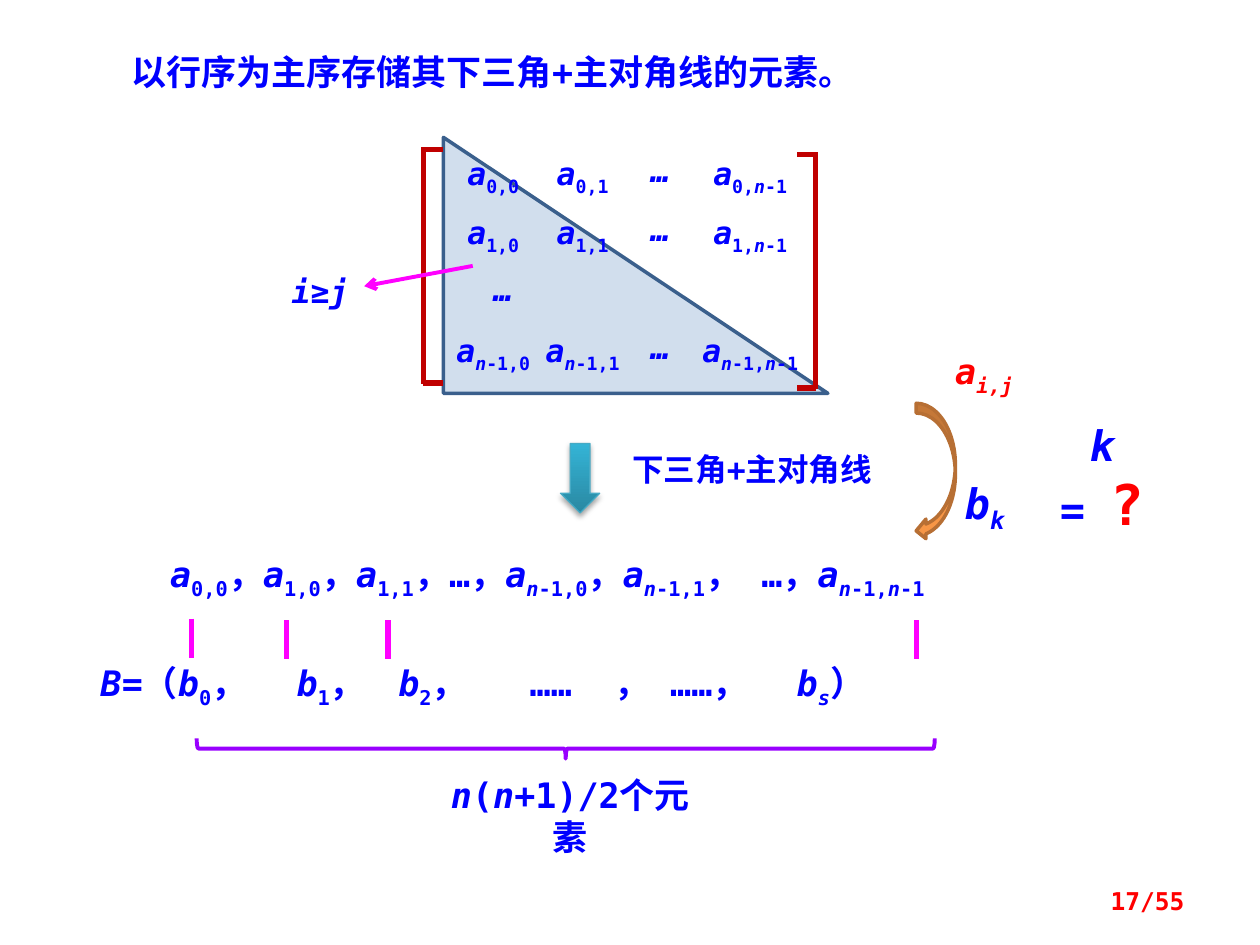
from dataclasses import dataclass

from lxml import etree
from pptx import Presentation
from pptx.dml.color import RGBColor
from pptx.enum.shapes import MSO_CONNECTOR, MSO_SHAPE
from pptx.enum.text import MSO_ANCHOR, MSO_AUTO_SIZE, PP_ALIGN
from pptx.oxml.ns import qn
from pptx.util import Cm, Pt

LEFT, CENTER, RIGHT = PP_ALIGN.LEFT, PP_ALIGN.CENTER, PP_ALIGN.RIGHT
TOP, MIDDLE = MSO_ANCHOR.TOP, MSO_ANCHOR.MIDDLE
GROW = MSO_AUTO_SIZE.SHAPE_TO_FIT_TEXT
STRAIGHT = MSO_CONNECTOR.STRAIGHT
TRIANGLE = MSO_SHAPE.RIGHT_TRIANGLE
DOWN_ARROW = MSO_SHAPE.DOWN_ARROW
CURVED_ARROW = MSO_SHAPE.CURVED_LEFT_ARROW
BRACE = MSO_SHAPE.LEFT_BRACE


@dataclass(frozen=True)
class Theme:
    font: str = "DejaVu Sans Mono"
    text: str = "0000FF"
    accent: str = "FF0000"
    link: str = "FF00FF"
    bracket: str = "C00000"
    brace: str = "9900FF"
    triangle: str = "4F81BD"
    triangle_edge: str = "3A5F8C"
    arrow_dark: str = "2A88A2"
    arrow_light: str = "34B4D6"
    arrow_edge: str = "46AAC5"
    curve: str = "F79646"
    curve_edge: str = "B76F34"
    shadow: str = "000000"
    page_number: int = 14
    label: int = 18
    body: int = 20
    large: int = 24
    huge: int = 32


class SlideBuilder:
    def __init__(self, slide, theme):
        self.slide = slide
        self.theme = theme

    def set_markup(self, box, markup, size, color=None, align=LEFT, anchor=TOP, margin=None):
        frame = box.text_frame
        frame.word_wrap = True
        frame.auto_size = GROW
        frame.vertical_anchor = anchor
        if margin is not None:
            frame.margin_left = frame.margin_right = Cm(margin)
            frame.margin_top = frame.margin_bottom = Cm(margin)
        para = frame.paragraphs[0]
        para.alignment = align
        for level, part in enumerate(markup.split("_")):
            for turn, piece in enumerate(part.split("*")):
                if piece:
                    self.span(para, piece, size, color, turn % 2 == 1, level % 2 == 1)
        return para

    def span(self, para, text, size, color=None, italic=False, subscript=False):
        span = para.add_run()
        span.text = text
        font = span.font
        font.name = self.theme.font
        font.size = Pt(size)
        font.bold = True
        font.italic = italic
        font.color.rgb = RGBColor.from_string(color or self.theme.text)
        properties = span._r.get_or_add_rPr()
        etree.SubElement(properties, qn("a:ea"), typeface=self.theme.font)
        if subscript:
            properties.set("baseline", "-25000")

    def title(self, place, markup, size):
        box = self.slide.shapes.title
        box.left, box.top, box.width, box.height = map(Cm, place)
        self.set_markup(box, markup, size)

    def text(self, place, markup, size, **style):
        box = self.slide.shapes.add_textbox(*map(Cm, place))
        return self.set_markup(box, markup, size, **style)

    def tab_stops(self, para, positions):
        stops = etree.SubElement(para._p.get_or_add_pPr(), qn("a:tabLst"))
        for position in positions:
            etree.SubElement(stops, qn("a:tab"), pos=str(int(Cm(position))), algn="l")

    def shape(self, kind, place, edge, weight, fill=None):
        shape = self.slide.shapes.add_shape(kind, *map(Cm, place))
        shape.shadow.inherit = False
        shape.line.color.rgb = RGBColor.from_string(edge)
        shape.line.width = Pt(weight)
        if fill:
            shape.fill.solid()
            shape.fill.fore_color.rgb = RGBColor.from_string(fill)
        else:
            shape.fill.background()
        return shape

    def transparency(self, shape, opacity):
        color = shape._element.spPr.find(qn("a:solidFill"))[0]
        etree.SubElement(color, qn("a:alpha"), val=str(opacity * 1000))

    def gradient(self, shape, colors, angle):
        shape.fill.gradient()
        shape.fill.gradient_angle = angle
        for stop, color in zip(shape.fill.gradient_stops, colors):
            stop.color.rgb = RGBColor.from_string(color)

    def drop_shadow(self, shape, color, opacity):
        effects = shape._element.spPr.find(qn("a:effectLst"))
        shadow = etree.SubElement(
            effects, qn("a:outerShdw"), blurRad=str(int(Pt(3.1))), dist=str(int(Pt(1.8))),
            dir="5400000", rotWithShape="0",
        )
        tone = etree.SubElement(shadow, qn("a:srgbClr"), val=color)
        etree.SubElement(tone, qn("a:alpha"), val=str(opacity * 1000))

    def line(self, start, end, color, weight, arrow=False):
        line = self.slide.shapes.add_connector(STRAIGHT, *map(Cm, start + end))
        line.line.color.rgb = RGBColor.from_string(color)
        line.line.width = Pt(weight)
        if arrow:
            outline = line._element.spPr.find(qn("a:ln"))
            etree.SubElement(outline, qn("a:tailEnd"), type="arrow")
        etree.SubElement(line._element.spPr, qn("a:effectLst"))

    def bracket(self, spine, tip, top, bottom):
        color = self.theme.bracket
        self.line((spine, top), (spine, bottom), color, 3)
        for height in (top + 0.05, bottom - 0.03):
            self.line((spine, height), (tip, height), color, 3)


def draw_matrix(page):
    theme = page.theme
    triangle = page.shape(TRIANGLE, (8.94, 2.77, 7.75, 5.16), theme.triangle_edge, 2, theme.triangle)
    page.transparency(triangle, 26)
    page.bracket(8.53, 8.94, 2.97, 7.75)
    page.bracket(16.44, 16.06, 3.07, 7.85)

    def entry(left, top, width, markup):
        page.text((left, top, width, 0.76), markup, theme.label, align=CENTER, margin=0)

    columns = ((8.94, "0"), (10.74, "1"), (14.12, "*n*-1"))
    for step, row in ((0, "0"), (1, "1"), (3, "*n*-1")):
        top = 3.1 + 1.19 * step
        for left, column in columns:
            entry(left, top, 2.01, f"*a*_{row},{column}_")
        entry(12.52, top - 0.05, 1.6, "*…*")
    entry(9.35, 5.44, 1.6, "*…*")

    page.line((9.53, 5.36), (7.34, 5.77), theme.link, 2.25, arrow=True)
    page.text((5.16, 5.36, 2.59, 1.02), "*i*≥*j*", theme.label, align=CENTER)


def draw_storage(page):
    theme = page.theme
    arrow = page.shape(DOWN_ARROW, (11.3, 8.94, 0.79, 1.4), theme.arrow_edge, 0.75)
    page.gradient(arrow, (theme.arrow_dark, theme.arrow_light), 90)
    page.drop_shadow(arrow, theme.shadow, 35)
    page.text((12.5, 8.94, 6.63, 1.02), "下三角+主对角线", theme.label)

    page.text(
        (3.18, 11.02, 18.06, 1.12),
        "*a*_0,0_，*a*_1,0_，*a*_1,1_，…，*a*_*n*-1,0_，*a*_*n*-1,1_， …，*a*_*n*-1,*n*-1_",
        theme.body,
    )
    for left, top in ((3.86, 12.47), (5.77, 12.5), (7.82, 12.5), (18.47, 12.5)):
        page.line((left, top), (left, top + 0.79), theme.link, 3)
    para = page.text(
        (1.78, 13.21, 19.84, 1.12),
        "*B*=（*b*_0_，\t*b*_1_，\t*b*_2_，\t……\t， ……，\t*b*_*s*_）",
        theme.body,
    )
    page.tab_stops(para, (3.95, 6, 8.65, 10.35, 14.03))

    brace = page.shape(BRACE, (11.2, 7.65, 0.41, 14.88), theme.brace, 2.25)
    brace.rotation = 270
    page.text((8.53, 15.47, 5.94, 1.12), "*n*(*n*+1)/2个元素", theme.body, align=CENTER)


def draw_question(page):
    theme = page.theme
    page.shape(CURVED_ARROW, (18.47, 8.13, 0.79, 2.77), theme.curve_edge, 2, theme.curve)
    page.text((18.85, 6.93, 1.98, 1.12), "*a*_*i,j*_", theme.body, color=theme.accent, align=CENTER)
    page.text((19.05, 9.5, 1.6, 1.27), "*b*_*k*_", theme.large, align=CENTER)
    para = page.text((20.83, 8.33, 2.77, 1.63), "*k *= ", theme.large, align=CENTER)
    page.span(para, "?", theme.huge, theme.accent)


def main():
    deck = Presentation()
    deck.slide_width, deck.slide_height = Cm(25.4), Cm(19.05)
    page = SlideBuilder(deck.slides.add_slide(deck.slide_layouts[5]), Theme())
    theme = page.theme
    page.title((2.39, 0.89, 18.64, 1.12), "以行序为主序存储其下三角+主对角线的元素。", theme.body)
    draw_matrix(page)
    draw_storage(page)
    draw_question(page)
    page.text(
        (18.21, 17.65, 5.92, 1.02), "17/55", theme.page_number,
        color=theme.accent, align=RIGHT, anchor=MIDDLE,
    )
    deck.save("out.pptx")


if __name__ == "__main__":
    main()
